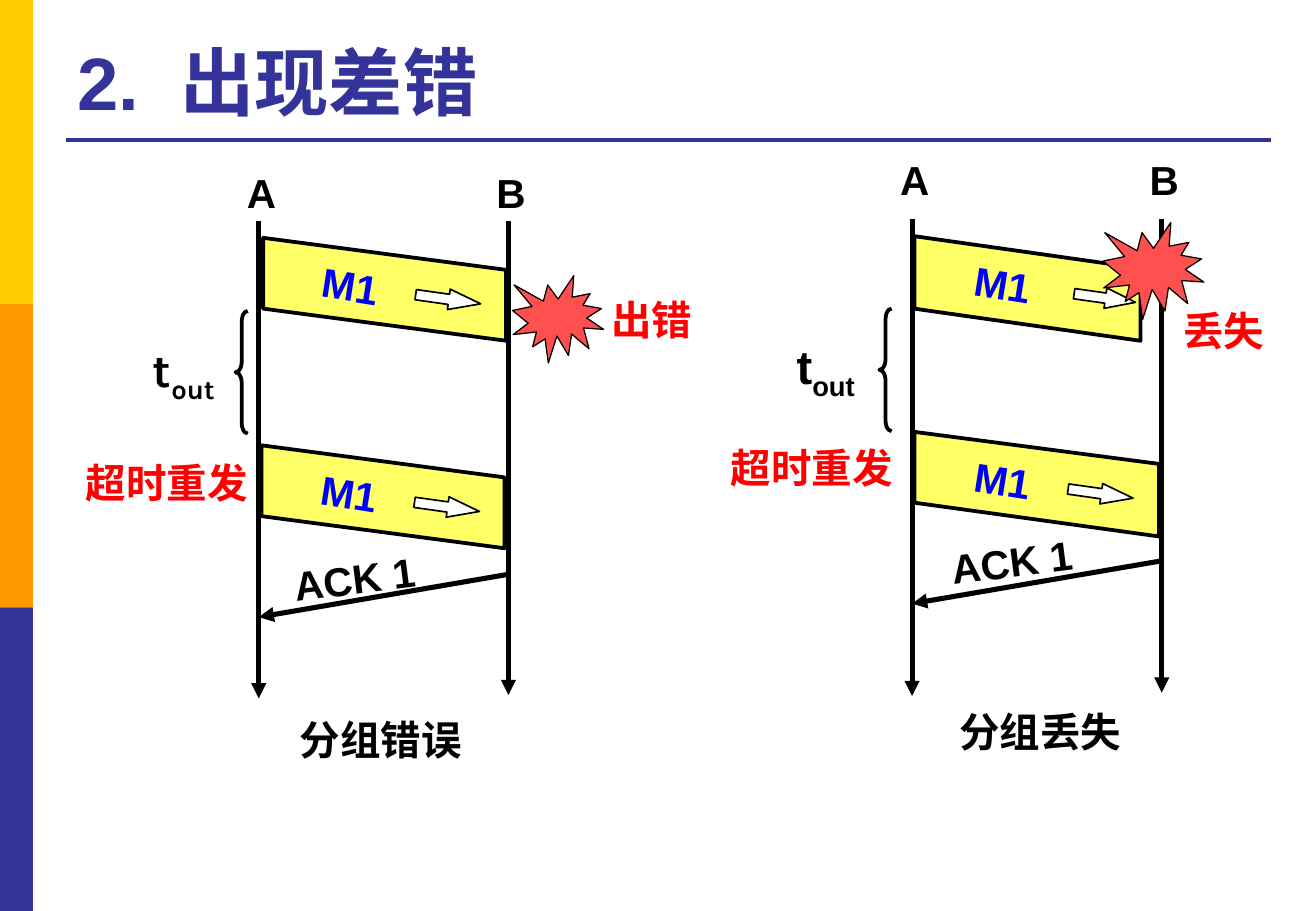
from dataclasses import dataclass
from lxml.etree import SubElement
from pptx import Presentation
from pptx.dml.color import RGBColor
from pptx.enum.shapes import MSO_CONNECTOR, MSO_SHAPE
from pptx.enum.text import MSO_ANCHOR, MSO_AUTO_SIZE, PP_ALIGN
from pptx.oxml.ns import qn
from pptx.util import Pt

COLORS = {
    "gold": "FFCC00", "orange": "FF9900", "navy": "333399",
    "black": "000000", "white": "FFFFFF", "yellow": "FFFF66",
    "blue": "0000FF", "red": "FF0000", "coral": "FF5050",
}
LATIN = "Arial"
HAN = "Noto Sans CJK SC"


@dataclass
class Box:
    x: float
    y: float
    w: float
    h: float


@dataclass
class Run:
    text: str
    color: str = "black"
    size: float = 24
    font: str = LATIN
    base: int = 0
    gap: int = 0


@dataclass
class Frame:
    x: float
    y: float
    w: float
    dart: Box


@dataclass
class Panel:
    x: float
    top: float
    names: float
    frames: list[Frame]
    ack: float
    reply: Box
    burst: Box
    fault: Run
    label: Box
    retry: Run
    note: Box
    brace: Box
    timer: str
    title: str
    foot: Box


PANELS = [
    Panel(153.4, 131, 95.8,
          [Frame(155.5, 141.1, 144.4, Box(90.7, 30.2, 38.9, 12.2)),
           Frame(154.8, 264.2, 144.4, Box(90.7, 30.2, 38.9, 12.2))],
          340.6, Box(167, 324.7, 87.1, 36.7),
          Box(303.8, 163.4, 54, 51.8), Run("出错", "red"), Box(355, 171.4, 62.6, 36),
          Run("超时重发", "red", font=HAN), Box(43.9, 267.8, 110.9, 36),
          Box(139.7, 184.3, 7.2, 72.7), "Karla",
          "分组错误", Box(170.6, 420.5, 112.3, 36)),
    Panel(540.6, 129.6, 88.6,
          [Frame(542.2, 140.4, 133.9, Box(94.3, 30.2, 36.7, 12.2)),
           Frame(542.2, 256.3, 144.7, Box(90.7, 30.2, 38.9, 12.2))],
          332.6, Box(556.6, 314.6, 87.1, 36.7),
          Box(653.8, 131.8, 59.8, 57.6), Run("丢失", "red"), Box(694.1, 177.8, 62.6, 36),
          Run("超时重发", "red"), Box(426.2, 259.2, 110.9, 36),
          Box(521.3, 182.9, 7.2, 72.7), LATIN,
          "分组丢失", Box(561.6, 415.4, 112.3, 36)),
]

deck = Presentation()
deck.slide_width, deck.slide_height = Pt(780), Pt(540)
slide = deck.slides.add_slide(deck.slide_layouts[6])


def tint(name: str) -> RGBColor:
    return RGBColor.from_string(COLORS[name])


def paint(shape, fill: str | None, line: float = 0) -> None:
    shape.shadow.inherit = False
    if fill:
        shape.fill.solid()
        shape.fill.fore_color.rgb = tint(fill)
    else:
        shape.fill.background()
    if line:
        shape.line.color.rgb = tint("black")
        shape.line.width = Pt(line)
    else:
        shape.line.fill.background()


def draw(kind: MSO_SHAPE, box: Box, fill: str | None, line: float = 0,
         turn: float = 0, tune: tuple = ()):
    shape = slide.shapes.add_shape(kind, Pt(box.x), Pt(box.y), Pt(box.w), Pt(box.h))
    paint(shape, fill, line)
    shape.rotation = turn
    for i, value in enumerate(tune):
        shape.adjustments[i] = value


def link(x1: float, y1: float, x2: float, y2: float,
         color: str = "black", width: float = 3, head: bool = True) -> None:
    line = slide.shapes.add_connector(
        MSO_CONNECTOR.STRAIGHT, Pt(x1), Pt(y1), Pt(x2), Pt(y2))
    line.line.color.rgb = tint(color)
    line.line.width = Pt(width)
    if head:
        SubElement(line.line._get_or_add_ln(), qn("a:tailEnd"), type="triangle")
    SubElement(line._element.spPr, qn("a:effectLst"))


def write(box: Box, runs: list[Run], turn: float = 0, mid: bool = False):
    shape = slide.shapes.add_textbox(Pt(box.x), Pt(box.y), Pt(box.w), Pt(box.h))
    shape.rotation = turn
    frame = shape.text_frame
    frame.word_wrap = False
    frame.auto_size = MSO_AUTO_SIZE.SHAPE_TO_FIT_TEXT
    para = frame.paragraphs[0]
    para.alignment = PP_ALIGN.CENTER if mid else PP_ALIGN.LEFT
    for item in runs:
        run = para.add_run()
        run.text = item.text
        font = run.font
        font.name, font.size, font.bold = item.font, Pt(item.size), True
        font.color.rgb = tint(item.color)
        props = run._r.get_or_add_rPr()
        SubElement(props, qn("a:ea"), typeface=HAN)
        if item.base:
            props.set("baseline", str(item.base * 1000))
        if item.gap:
            props.set("spc", str(item.gap * 100))
    return frame


def send(frame: Frame) -> None:
    x, y, end = frame.x, frame.y, frame.x + frame.w
    path = slide.shapes.build_freeform(x, y, scale=Pt(1))
    path.add_line_segments([(end, y + 19), (end, y + 61.2), (x, y + 42.2)])
    paint(path.convert_to_shape(), "yellow", 2.25)
    dart = frame.dart
    draw(MSO_SHAPE.RIGHT_ARROW, Box(x + dart.x, y + dart.y, dart.w, dart.h),
         "white", 1, 8, (0.5, dart.w / 24.9))
    write(Box(x + 28.4, y + 10.1, 48.2, 36), [Run("M1", "blue")], 9)


def show(panel: Panel) -> None:
    left, right, top = panel.x, panel.x + 148, panel.top
    for name, x, tall in (("A", left, 283), ("B", right, 281)):
        link(x, top, x, top + tall)
        write(Box(x - 14.2, panel.names, 31.7, 36), [Run(name)])
    for frame in panel.frames:
        send(frame)
    link(right - 1, panel.ack, left, panel.ack + 25.2)
    write(panel.reply, [Run("ACK 1")], 352.8)
    draw(MSO_SHAPE.EXPLOSION1, panel.burst, "coral", 0.75)
    write(panel.label, [panel.fault], mid=True)
    write(panel.note, [panel.retry])
    brace = panel.brace
    draw(MSO_SHAPE.LEFT_BRACE, brace, None, 2.25, tune=(0.87, 0.5))
    write(Box(brace.x - 56.2, brace.y + 13.7, 55, 41),
          [Run("t", size=28, font=panel.timer),
           Run("out", size=28, font=panel.timer, base=-25)])
    write(panel.foot, [Run(panel.title)])


def main() -> None:
    for i, color in enumerate(("gold", "orange", "navy")):
        draw(MSO_SHAPE.RECTANGLE, Box(0, i * 180, 19.5, 180), color)
    link(38.9, 82.8, 753.1, 82.8, "navy", 2.25, False)
    head = write(Box(38.9, 15.1, 713.5, 62.6),
                 [Run("2.", "navy", 44), Run(" ", "navy", 44, gap=12),
                  Run("出现差错", "navy", 44)])
    head.word_wrap = True
    head.auto_size = MSO_AUTO_SIZE.NONE
    head.vertical_anchor = MSO_ANCHOR.BOTTOM
    for panel in PANELS:
        show(panel)
    deck.save("out.pptx")


if __name__ == "__main__":
    main()
